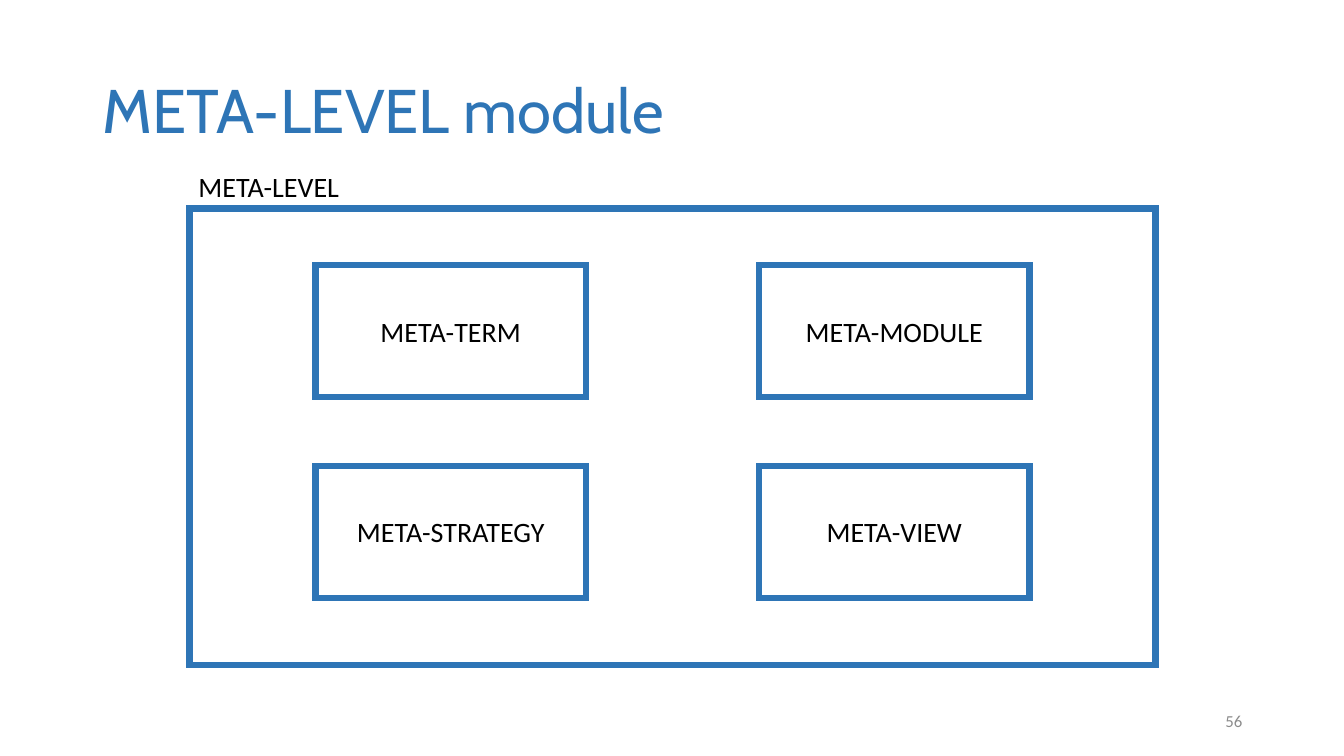
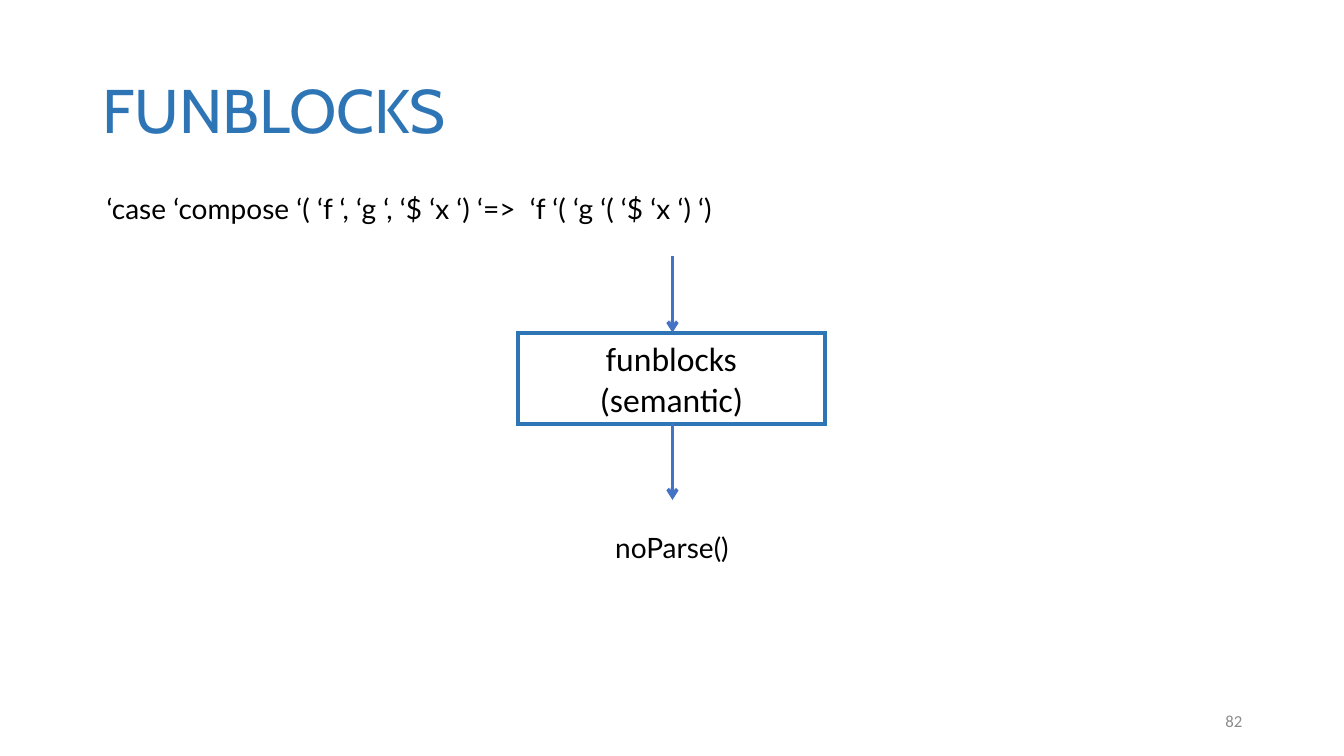
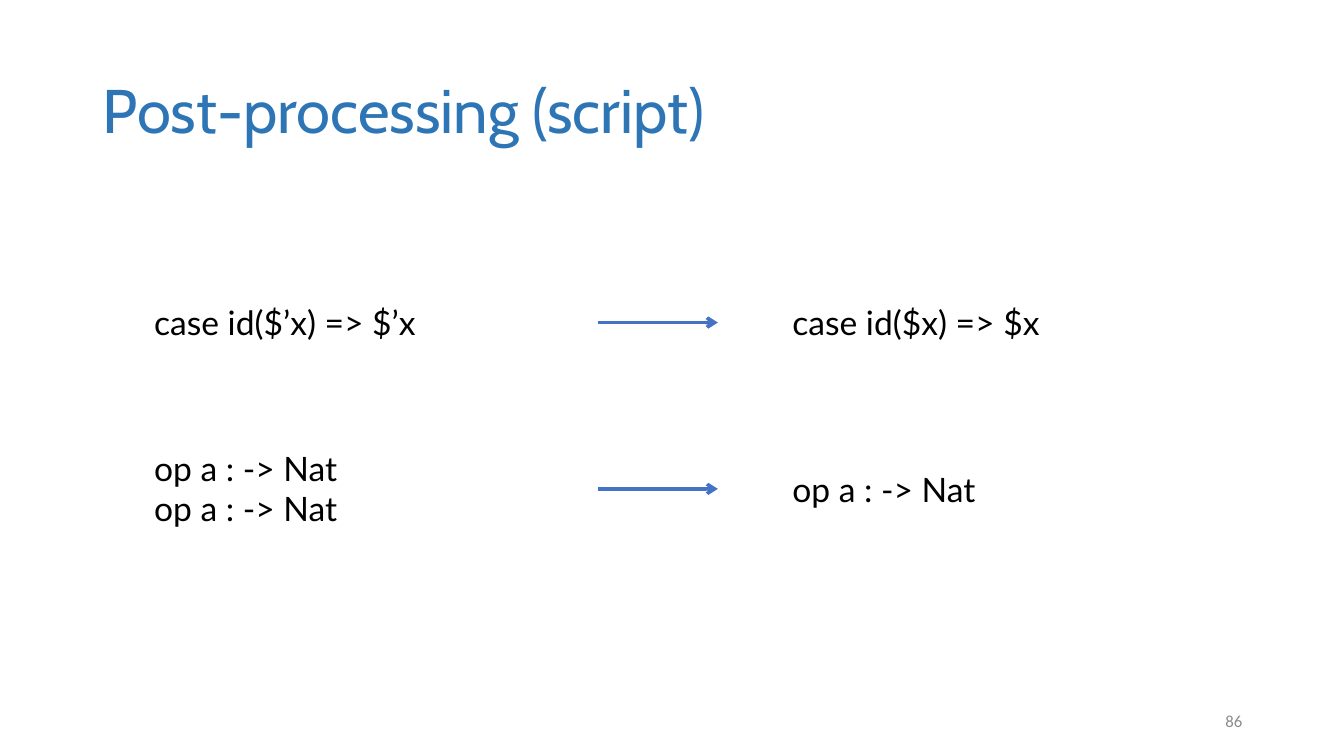
import pptx
import pptx.dml.color
import pptx.enum.shapes
import pptx.enum.text
import pptx.oxml.ns
import pptx.util
from pptx.util import Inches

TITLE_BLUE = pptx.dml.color.RGBColor(0x2E, 0x75, 0xB6)
ARROW_BLUE = pptx.dml.color.RGBColor(0x44, 0x72, 0xC4)
BLACK = pptx.dml.color.RGBColor(0x00, 0x00, 0x00)
GREY = pptx.dml.color.RGBColor(0x8C, 0x8C, 0x8C)

ALIGN = pptx.enum.text.PP_ALIGN
ANCHOR = pptx.enum.text.MSO_ANCHOR


def add_child(parent, tag, **attributes):
    parent.append(parent.makeelement(pptx.oxml.ns.qn(tag), attributes))


class Deck:
    title_font = "Cabin"
    body_font = "Calibri"
    code_font = "Lato"

    def __init__(self):
        self.presentation = pptx.Presentation()
        self.presentation.slide_width = Inches(13.33)
        self.presentation.slide_height = Inches(7.5)
        self.slide = None

    def add_slide(self, title, number):
        blank_layout = self.presentation.slide_layouts[6]
        self.slide = self.presentation.slides.add_slide(blank_layout)
        title_box = self.text(title, 0.92, 0.4, 11.5, 1.45, 44, self.title_font,
                              color=TITLE_BLUE, anchor=ANCHOR.MIDDLE)
        title_box.text_frame.paragraphs[0].line_spacing = 0.9
        self.text(str(number), 9.42, 6.95, 3, 0.4, 12, self.body_font,
                  color=GREY, align=ALIGN.RIGHT, anchor=ANCHOR.MIDDLE)

    def set_text(self, shape, text, size, font, color, align, anchor):
        frame = shape.text_frame
        frame.word_wrap = True
        frame.vertical_anchor = anchor
        frame.text = text
        for paragraph in frame.paragraphs:
            paragraph.alignment = align
            paragraph.font.size = pptx.util.Pt(size)
            paragraph.font.name = font
            paragraph.font.color.rgb = color

    def set_line(self, shape, color, width):
        shape.line.color.rgb = color
        shape.line.width = pptx.util.Pt(width)
        return shape.element.spPr.find(pptx.oxml.ns.qn("a:ln"))

    def text(self, text, left, top, width, height, size, font,
             color=BLACK, align=ALIGN.LEFT, anchor=ANCHOR.TOP):
        box = self.slide.shapes.add_textbox(
            Inches(left), Inches(top), Inches(width), Inches(height))
        self.set_text(box, text, size, font, color, align, anchor)
        return box

    def code(self, text, left, top, width, height, size, align=ALIGN.LEFT):
        self.text(text, left, top, width, height, size, self.code_font, align=align)

    def box(self, left, top, width, height, line_width, text="", size=20):
        shape = self.slide.shapes.add_shape(
            pptx.enum.shapes.MSO_SHAPE.RECTANGLE,
            Inches(left), Inches(top), Inches(width), Inches(height))
        shape.shadow.inherit = False
        shape.fill.background()
        outline = self.set_line(shape, TITLE_BLUE, line_width)
        add_child(outline, "a:miter", lim="800000")
        if text:
            self.set_text(shape, text, size, self.body_font, BLACK,
                          ALIGN.CENTER, ANCHOR.MIDDLE)

    def arrow(self, start_x, start_y, end_x, end_y):
        connector = self.slide.shapes.add_connector(
            pptx.enum.shapes.MSO_CONNECTOR.STRAIGHT,
            Inches(start_x), Inches(start_y), Inches(end_x), Inches(end_y))
        outline = self.set_line(connector, ARROW_BLUE, 2.5)
        add_child(outline, "a:tailEnd", type="arrow")
        add_child(connector.element.spPr, "a:effectLst")


def add_meta_level(deck):
    deck.add_slide("META-LEVEL module", 56)
    deck.box(1.88, 2.07, 9.58, 4.53, 4.5)
    deck.text("META-LEVEL", 1.87, 1.63, 1.67, 0.44, 20, deck.body_font)
    modules = ["META-TERM", "META-MODULE", "META-STRATEGY", "META-VIEW"]
    for index, module in enumerate(modules):
        row, column = divmod(index, 2)
        deck.box(3.13 + 4.4 * column, 2.63 + 1.99 * row, 2.68, 1.31, 4.5, module)


def add_funblocks(deck):
    deck.add_slide("FUNBLOCKS", 82)
    deck.box(5.14, 3.3, 3.04, 0.91, 3, "funblocks\n(semantic)", 24)
    deck.code("‘case ‘compose ‘( ‘f ‘, ‘g ‘, ‘$ ‘x ‘) ‘=>  ‘f ‘( ‘g ‘( ‘$ ‘x ‘) ‘)",
              0.96, 1.85, 11.41, 0.44, 20)
    for top in (2.54, 4.2):
        deck.arrow(6.67, top, 6.67, top + 0.76)
    deck.code("noParse()", 0.96, 5.21, 11.41, 0.44, 20, ALIGN.CENTER)


def add_post_processing(deck):
    deck.add_slide("Post-processing (script)", 86)
    rewrites = [
        (3.2, "case id($’x) => $’x", 0.5, "case id($x) => $x"),
        (4.85, "op a : -> Nat\nop a : -> Nat", 0.91, "op a : -> Nat"),
    ]
    for middle, before, before_height, after in rewrites:
        deck.code(before, 1.43, middle - before_height / 2, 4.11, before_height, 24)
        deck.arrow(5.93, middle, 7.12, middle)
        deck.code(after, 7.76, middle - 0.25, 4.11, 0.5, 24)


def main():
    deck = Deck()
    add_meta_level(deck)
    add_funblocks(deck)
    add_post_processing(deck)
    deck.presentation.save("out.pptx")


if __name__ == "__main__":
    main()
